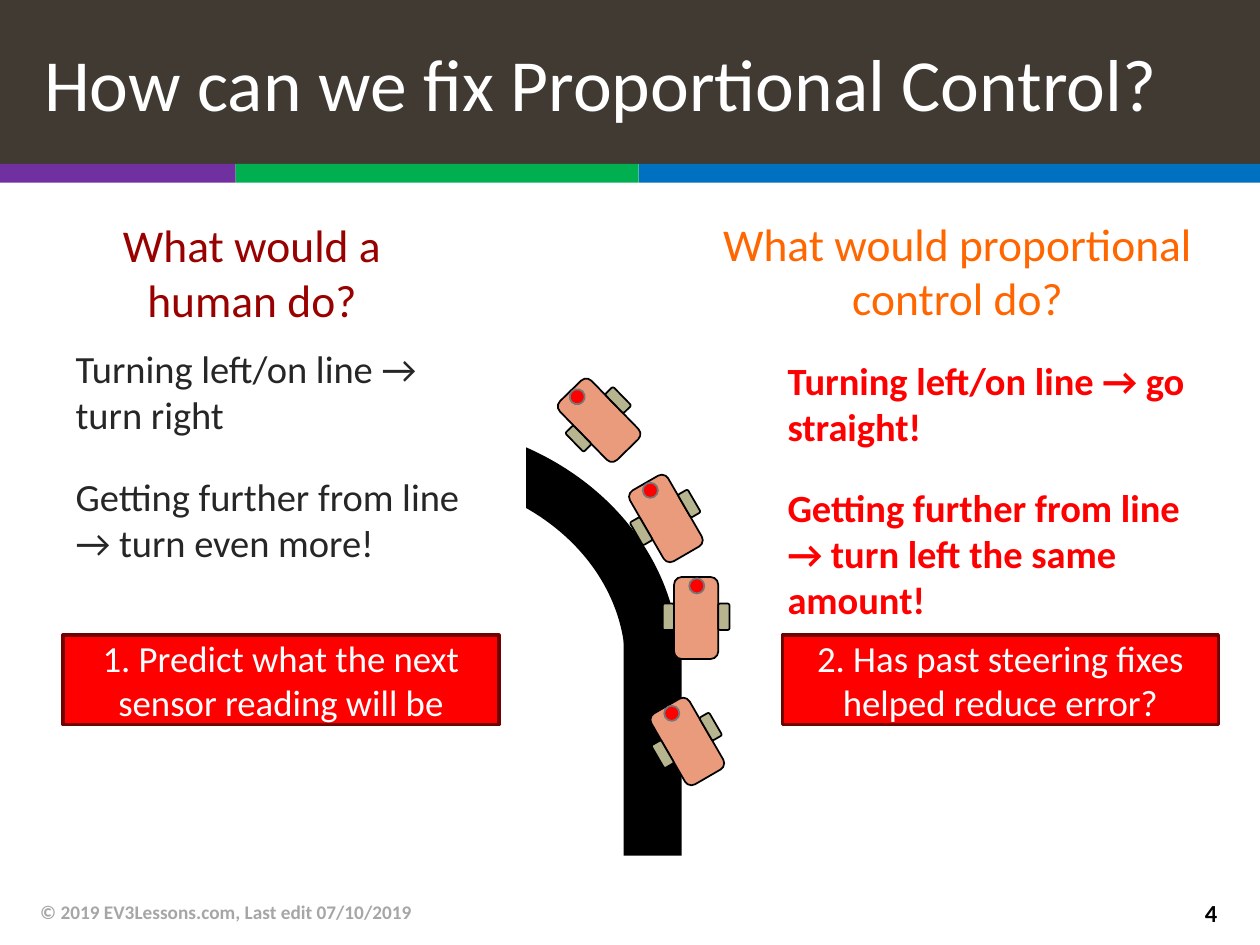
import pptx
import pptx.util
import pptx.dml.color
import pptx.enum.shapes
import pptx.enum.text
from lxml import etree

PX = 9144
KIND = pptx.enum.shapes.MSO_SHAPE
ALIGN = pptx.enum.text.PP_ALIGN
ANCHOR = pptx.enum.text.MSO_ANCHOR
NS = "{http://schemas.openxmlformats.org/drawingml/2006/main}"


def color(code):
    """Turn a hex string into a colour."""
    return pptx.dml.color.RGBColor.from_string(code)


def emu(*nums):
    """Turn px lengths into EMU."""
    return [pptx.util.Emu(num * PX) for num in nums]


def place(shape, box):
    """Move a shape to a px box."""
    shape.left, shape.top, shape.width, shape.height = emu(*box)


def draw(shapes, kind, box, fill=None, line=None, width=1):
    """Add a flat preset shape."""
    shape = shapes.add_shape(kind, *emu(*box))
    shape.shadow.inherit = False
    if fill:
        shape.fill.solid()
        shape.fill.fore_color.rgb = color(fill)
    else:
        shape.fill.background()
    if line:
        shape.line.color.rgb = color(line)
        shape.line.width = pptx.util.Pt(width)
    else:
        shape.line.fill.background()
    return shape


def write(shape, lines, size, code, align=ALIGN.LEFT, anchor=ANCHOR.MIDDLE,
          bold=False, gap=0, indent=0):
    """Fill a shape with plain paragraphs in one style."""
    frame = shape.text_frame
    frame.word_wrap = True
    frame.auto_size = pptx.enum.text.MSO_AUTO_SIZE.NONE
    frame.vertical_anchor = anchor
    frame.text = "\n".join(lines)
    for num, para in enumerate(frame.paragraphs):
        para.alignment = align
        para.space_before = pptx.util.Pt(gap if num else 0)
        props = para._p.get_or_add_pPr()
        props.set("marL", str(indent * PX))
        props.set("indent", "0")
        etree.SubElement(props, NS + "buNone")
        para.font.name = "Calibri"
        para.font.size = pptx.util.Pt(size)
        para.font.bold = bold
        para.font.color.rgb = color(code)


def banner(slide, box):
    """Place the title bar with its three stripes below."""
    x, y, w, h = box
    title = slide.shapes.title
    place(title, box)
    title.fill.solid()
    title.fill.fore_color.rgb = color("413A33")
    write(title, ["How can we fix Proportional Control?"], 42, "FFFFFF", indent=25)
    group = slide.shapes.add_group_shape()
    stops = [0, 187, 507, w]
    for left, right, code in zip(stops, stops[1:], ["7030A0", "00B050", "0070C0"]):
        draw(group.shapes, KIND.RECTANGLE, (x + left, y + h, right - left, 15), code)


def column(slide, box, first, head, items, note):
    """Place a heading, a list and a red callout."""
    x, y, w, h = box
    title, spot, code = head
    holder = slide.placeholders[first]
    place(holder, (x + spot[0], y + spot[1], spot[2], 47))
    write(holder, [title], 26, code, ALIGN.CENTER, ANCHOR.BOTTOM)
    lines, spot, code, bold = items
    holder = slide.placeholders[first + 1]
    place(holder, (x + spot[0], y + spot[1], spot[2], 241))
    write(holder, lines, 22, code, anchor=ANCHOR.TOP, bold=bold, gap=20)
    call = draw(slide.shapes, KIND.RECTANGLE, (x, y + h - 71, w, 71),
                "FF0000", "710000", 2)
    write(call, [note], 21, "FFFFFF", ALIGN.CENTER)


def road(shapes, box):
    """Place the bending road, cut off at its upper left."""
    x, y, w, h = box
    draw(shapes, KIND.RECTANGLE, (x + w - 46, y + h - 172, 46, 172), "000000")
    draw(shapes, KIND.ARC, (x, y, 400, 344), None, "000000", 31)
    draw(shapes, KIND.RECTANGLE, (x + 157, y - 67, 141, 123), "FFFFFF", "FFFFFF", 2)


def robot(shapes, box, angle):
    """Place a robot with two wheels and a sensor, then turn it."""
    x, y, w, h = box
    group = shapes.add_group_shape()
    draw(group.shapes, KIND.ROUNDED_RECTANGLE, box, "EA9B7C", "000000")
    for left in (x + w, x - 9):
        draw(group.shapes, KIND.ROUNDED_RECTANGLE, (left, y + 21, 9, 21),
             "B6B590", "000000")
    draw(group.shapes, KIND.OVAL, (x + 12, y + 1, 12, 12), "FF0000", "777777")
    group.rotation = angle


def footer(shapes, box):
    """Place the copyright line and the page number."""
    x, y, w, h = box
    left = shapes.add_textbox(*emu(x, y, 670, h))
    write(left, ["© 2019 EV3Lessons.com, Last edit 07/10/2019"], 11, "A6A6A6", bold=True)
    right = shapes.add_textbox(*emu(x + w - 69, y, 69, h))
    write(right, ["4"], 14, "000000", ALIGN.RIGHT, bold=True)


def main():
    """Build and save the slide."""
    deck = pptx.Presentation()
    deck.slide_width, deck.slide_height = emu(1000, 750)
    slide = deck.slides.add_slide(deck.slide_layouts.get_by_name("Comparison"))
    shapes = slide.shapes
    banner(slide, (0, 0, 1000, 130))
    road(shapes, (118, 356, 423, 323))
    for x, y, angle in [(528, 556, 330), (535, 458, 0), (511, 379, 330), (458, 301, 315.8)]:
        robot(shapes, (x, y, 35, 65), angle)
    column(slide, (50, 217, 346, 358), 1,
           ("What would a human do?", (0, 0, 300), "990000"),
           (["Turning left/on line → turn right",
             "Getting further from line → turn even more!"],
            (0, 52, 346), "262626", False),
           "1. Predict what the next sensor reading will be")
    column(slide, (621, 217, 346, 358), 3,
           ("What would proportional control do?", (-70, -1, 418), "FF6600"),
           (["Turning left/on line → go straight!",
             "Getting further from line → turn left the same amount!"],
            (-6, 61, 339), "FF0000", True),
           "2. Has past steering fixes helped reduce error?")
    footer(shapes, (22, 704, 954, 40))
    shapes.element.append(slide.placeholders[2].element)
    deck.save("out.pptx")


if __name__ == "__main__":
    main()
